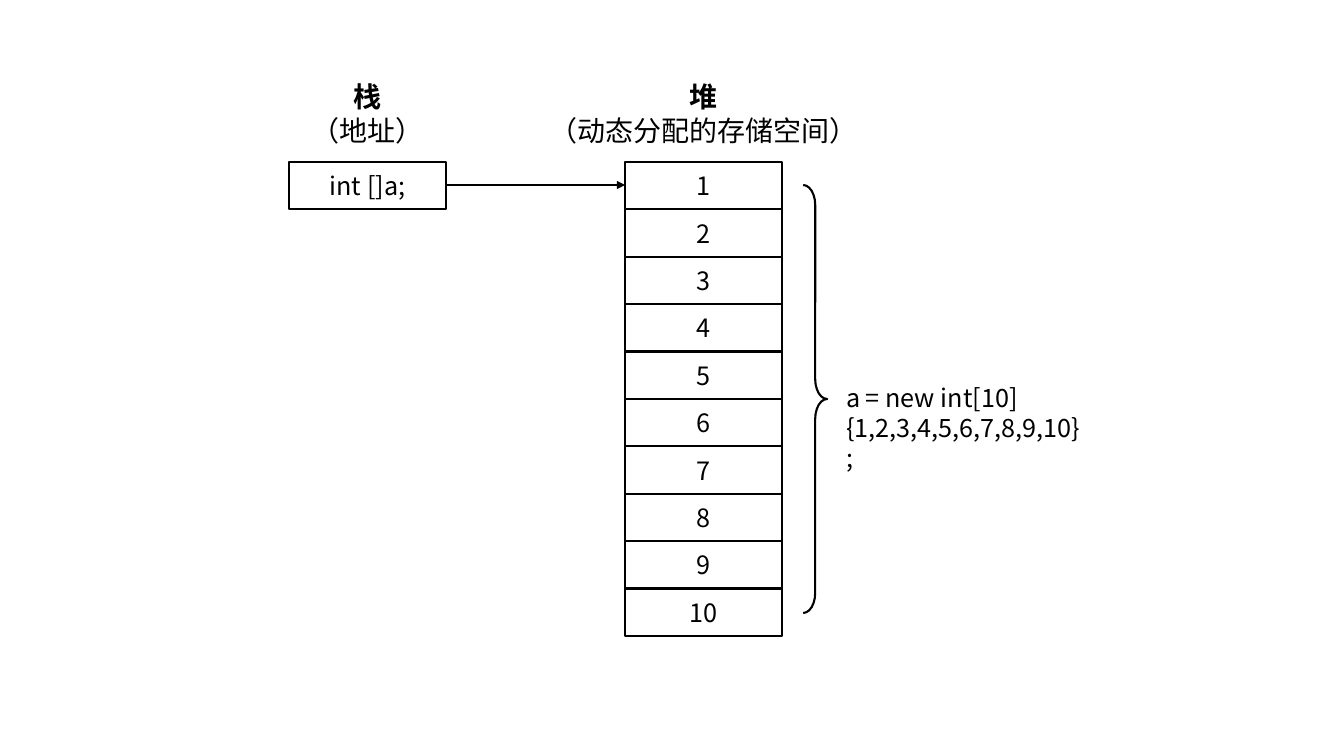
import pptx
import pptx.util
import pptx.dml.color
import pptx.enum.shapes
import pptx.enum.text
import pptx.oxml.ns
from lxml import etree
from dataclasses import dataclass

SCALE = 914400 / 100.8
SHAPE = pptx.enum.shapes.MSO_SHAPE
ALIGN = pptx.enum.text.PP_ALIGN


@dataclass
class Theme:
    ink: str = "000000"
    paper: str = "FFFFFF"
    font: str = "Noto Sans CJK SC"
    body: int = 18
    head: int = 20
    line: float = 1.5


theme = Theme()


def emu(*sizes):
    return [round(size * SCALE) for size in sizes]


def color(code):
    return pptx.dml.color.RGBColor.from_string(code)


def apply(target, values):
    for name, value in values.items():
        setattr(target, name, value)


def child(node, tag, **values):
    return etree.SubElement(node, pptx.oxml.ns.qn(tag), **values)


def ink_line(shape):
    shape.line.color.rgb = color(theme.ink)
    shape.line.width = pptx.util.Pt(theme.line)


def write(frame, lines, size, align, bold=()):
    for index, text in enumerate(lines):
        para = frame.paragraphs[0] if index == 0 else frame.add_paragraph()
        para.alignment = align
        para.text = text
        for run in para.runs:
            apply(run.font, {"name": theme.font, "size": pptx.util.Pt(size),
                             "bold": index in bold})
            run.font.color.rgb = color(theme.ink)
            child(run.font._element, "a:ea", typeface=theme.font)


def add_cell(slide, box, text):
    cell = slide.shapes.add_shape(SHAPE.RECTANGLE, *emu(*box))
    cell.shadow.inherit = False
    cell.fill.solid()
    cell.fill.fore_color.rgb = color(theme.paper)
    ink_line(cell)
    cell.text_frame.vertical_anchor = pptx.enum.text.MSO_ANCHOR.MIDDLE
    write(cell.text_frame, [text], theme.body, ALIGN.CENTER)


def add_label(slide, box, lines, size, align, bold=()):
    label = slide.shapes.add_textbox(*emu(*box))
    label.text_frame.word_wrap = False
    write(label.text_frame, lines, size, align, bold)


def add_title(slide, box, name, note):
    add_label(slide, box, [name, note], theme.head, ALIGN.CENTER, bold=(0,))


def add_stack(slide, box):
    left, top, width, height = box
    add_title(slide, (left + 12, top - 87, width - 24, 78), "栈", "（地址）")
    add_cell(slide, box, "int []a;")


def add_heap(slide, box, count):
    left, top, width, height = box
    add_title(slide, (left - 88, top - 87, width + 176, 78),
              "堆", "（动态分配的存储空间）")
    step = height / count
    for index in range(count):
        add_cell(slide, (left, top + index * step, width, step), str(index + 1))


def add_arrow(slide, start, end):
    arrow = slide.shapes.add_connector(
        pptx.enum.shapes.MSO_CONNECTOR.STRAIGHT, *emu(*start, *end))
    ink_line(arrow)
    child(arrow.line._get_or_add_ln(), "a:tailEnd", type="triangle")
    child(arrow._element.spPr, "a:effectLst")


def add_brace(slide, box, count):
    left, top, width, height = box
    brace = slide.shapes.add_shape(SHAPE.RIGHT_BRACE, *emu(*box))
    brace.shadow.inherit = False
    brace.adjustments[0] = 0.83
    brace.fill.background()
    ink_line(brace)
    values = ",".join(str(index + 1) for index in range(count))
    add_label(slide, (left + width + 9, top + height // 2 - 22, 260, 70),
              [f"a = new int[{count}]\v{{{values}}};"], theme.body, ALIGN.LEFT)


def build():
    deck = pptx.Presentation()
    apply(deck, {"slide_width": pptx.util.Inches(13.33),
                 "slide_height": pptx.util.Inches(7.5)})
    slide = deck.slides.add_slide(deck.slide_layouts[6])
    count = 10
    add_stack(slide, (289, 162, 157, 47))
    add_heap(slide, (625, 162, 157, 474), count)
    add_arrow(slide, (446, 185), (625, 185))
    add_brace(slide, (803, 185, 24, 428), count)
    deck.save("out.pptx")


build()
